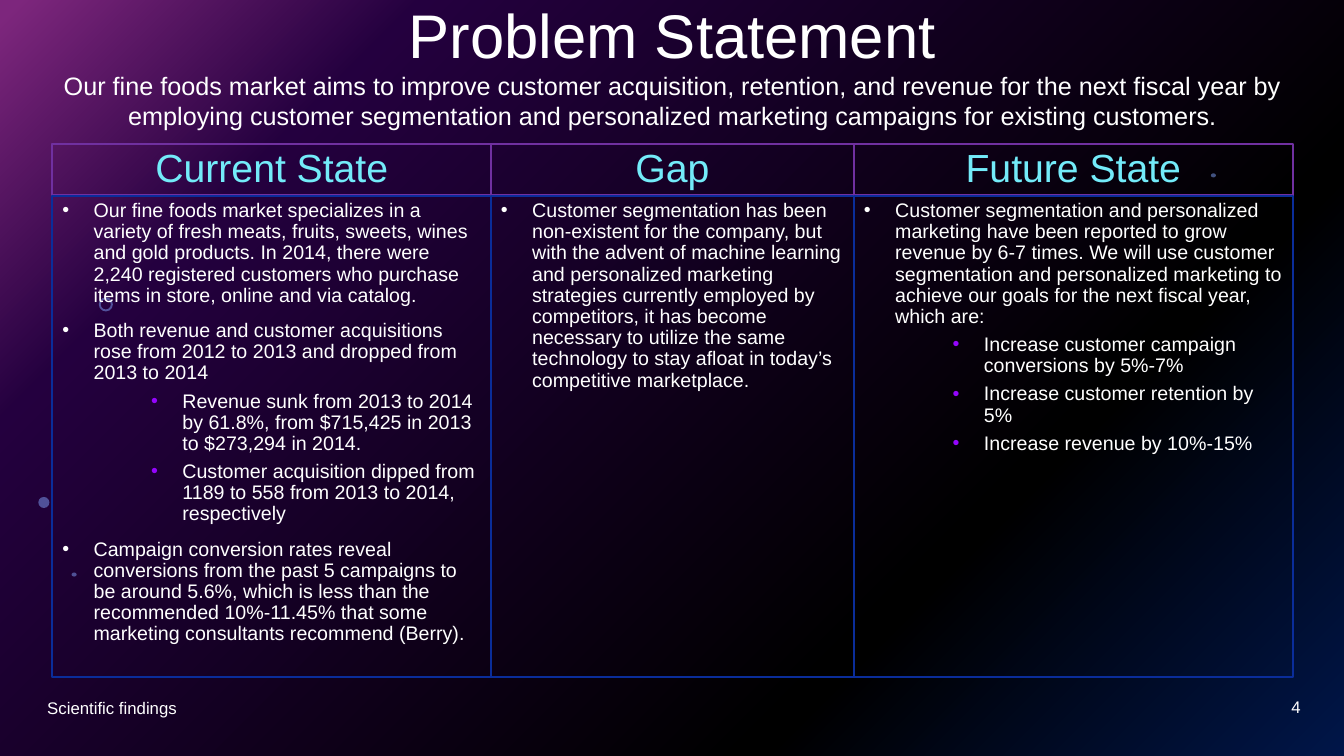
"""Build the Problem Statement slide: current state, gap and future state."""
from dataclasses import dataclass

from lxml.etree import SubElement
from pptx import Presentation
from pptx.dml.color import RGBColor
from pptx.enum.shapes import MSO_SHAPE as Shape
from pptx.enum.text import MSO_ANCHOR as Anchor, PP_ALIGN as Align
from pptx.oxml.ns import qn
from pptx.util import Inches, Pt


@dataclass(frozen=True)
class Theme:
    font: str = "Arial"
    white: str = "FFFFFF"
    black: str = "000000"
    heading: str = "73EBF9"
    heading_border: str = "7030A0"
    body_border: str = "0A2D9A"
    sub_bullet: str = "9405FC"
    dot: str = "83A7FD"
    gradient: tuple = ((0, "022D94"), (28, "000000"), (80, "4A027F"), (99, "FC4EFB"))
    title_size: int = 44
    heading_size: int = 28
    lead_size: int = 18
    body_size: int = 14
    footer_size: int = 12


theme = Theme()


def add_box(kind, box, fill=None, opacity=100, border=None):
    shape = slide.shapes.add_shape(kind, *map(Inches, box))
    shape.shadow.inherit = False
    if fill:
        shape.fill.solid()
        shape.fill.fore_color.rgb = RGBColor.from_string(fill)
        color = shape.element.spPr.find(".//" + qn("a:srgbClr"))
        SubElement(color, qn("a:alpha"), val=str(opacity * 1000))
    else:
        shape.fill.background()
    if border:
        shape.line.color.rgb = RGBColor.from_string(border)
        shape.line.width = Pt(1.5)
    else:
        shape.line.fill.background()
    return shape


def write(shape, *items, size, color=theme.white, align=Align.LEFT,
          anchor=Anchor.MIDDLE, spacing=None, bullets=False):
    frame = shape.text_frame
    frame.word_wrap = True
    frame.vertical_anchor = anchor
    for index, item in enumerate(items):
        level, text = item if bullets else (0, item)
        paragraph = frame.add_paragraph() if index else frame.paragraphs[0]
        paragraph.alignment = align
        paragraph.level = level
        if bullets:
            properties = paragraph._p.get_or_add_pPr()
            properties.set("marL", str(Inches((0.31, 1.19)[level])))
            properties.set("indent", str(Inches(-0.31)))
            bullet_color = SubElement(properties, qn("a:buClr"))
            SubElement(bullet_color, qn("a:srgbClr"), val=(theme.white, theme.sub_bullet)[level])
            SubElement(properties, qn("a:buFont"), typeface=theme.font)
            SubElement(properties, qn("a:buChar"), char="•")
        if spacing:
            paragraph.line_spacing = spacing
        if index:
            paragraph.space_before = Pt((10, 5)[level])
        run = paragraph.add_run()
        run.text = text
        run.font.name = theme.font
        run.font.size = Pt(size)
        run.font.color.rgb = RGBColor.from_string(color)


presentation = Presentation()
presentation.slide_width = Inches(13.33)
presentation.slide_height = Inches(7.5)
slide = presentation.slides.add_slide(presentation.slide_layouts[6])

slide.background.fill.gradient()
gradient = slide.element.find(".//" + qn("a:gradFill"))
for child in list(gradient):
    gradient.remove(child)
stops = SubElement(gradient, qn("a:gsLst"))
for position, color in theme.gradient:
    stop = SubElement(stops, qn("a:gs"), pos=str(position * 1000))
    SubElement(stop, qn("a:srgbClr"), val=color)
radial = SubElement(gradient, qn("a:path"), path="circle")
SubElement(radial, qn("a:fillToRect"), l="100000", t="100000")

add_box(Shape.RECTANGLE, (0, 0, 13.33, 7.5), fill=theme.black, opacity=50)
ring = add_box(Shape.DONUT, (0.98, 2.95, 0.14, 0.14), fill=theme.dot, opacity=49)
ring.adjustments[0] = 0.14
for dot in ((0.38, 4.93, 0.11, 0.11), (0.71, 5.68, 0.05, 0.04), (12.01, 1.72, 0.05, 0.04)):
    add_box(Shape.OVAL, dot, fill=theme.dot, opacity=49)

LEFT, WIDTH = 0.52, 12.3
labels = (
    ((LEFT, 0.13, WIDTH, 0.51), "Problem Statement",
     dict(size=theme.title_size, align=Align.CENTER, spacing=0.9)),
    ((LEFT, 0.65, WIDTH, 0.71),
     "Our fine foods market aims to improve customer acquisition, retention, and revenue "
     "for the next fiscal year by employing customer segmentation and personalized "
     "marketing campaigns for existing customers.",
     dict(size=theme.lead_size, align=Align.CENTER, anchor=Anchor.TOP)),
    ((0.37, 6.82, 4.5, 0.4), "Scientific findings", dict(size=theme.footer_size)),
    ((10, 6.81, 3, 0.4), "4", dict(size=theme.footer_size, align=Align.RIGHT)),
)
for box, text, text_format in labels:
    write(slide.shapes.add_textbox(*map(Inches, box)), text, **text_format)

columns = (
    ("Current State", 4.35, (
        (0, "Our fine foods market specializes in a variety of fresh meats, fruits, sweets, "
            "wines and gold products. In 2014, there were 2,240 registered customers who "
            "purchase items in store, online and via catalog."),
        (0, "Both revenue and customer acquisitions rose from 2012 to 2013 and dropped from "
            "2013 to 2014"),
        (1, "Revenue sunk from 2013 to 2014 by 61.8%, from $715,425 in 2013 to $273,294 in 2014."),
        (1, "Customer acquisition dipped from 1189 to 558 from 2013 to 2014, respectively"),
        (0, "Campaign conversion rates reveal conversions from the past 5 campaigns to be "
            "around 5.6%, which is less than the recommended 10%-11.45% that some marketing "
            "consultants recommend (Berry)."),
    )),
    ("Gap", 3.6, (
        (0, "Customer segmentation has been non-existent for the company, but with the advent "
            "of machine learning and personalized marketing strategies currently employed by "
            "competitors, it has become necessary to utilize the same technology to stay "
            "afloat in today’s competitive marketplace."),
    )),
    ("Future State", 4.35, (
        (0, "Customer segmentation and personalized marketing have been reported to grow "
            "revenue by 6-7 times. We will use customer segmentation and personalized "
            "marketing to achieve our goals for the next fiscal year, which are:"),
        (1, "Increase customer campaign conversions by 5%-7%"),
        (1, "Increase customer retention by 5%"),
        (1, "Increase revenue by 10%-15%"),
    )),
)
TOP, HEADING_HEIGHT, BODY_HEIGHT = 1.43, 0.51, 4.78
left = LEFT
for heading, width, points in columns:
    heading_box = add_box(Shape.RECTANGLE, (left, TOP, width, HEADING_HEIGHT),
                          border=theme.heading_border)
    write(heading_box, heading, size=theme.heading_size, color=theme.heading,
          align=Align.CENTER, spacing=0.9)
    body_box = add_box(Shape.RECTANGLE, (left, TOP + HEADING_HEIGHT, width, BODY_HEIGHT),
                       border=theme.body_border)
    write(body_box, *points, size=theme.body_size, anchor=Anchor.TOP, spacing=0.9, bullets=True)
    left += width

presentation.save("out.pptx")
